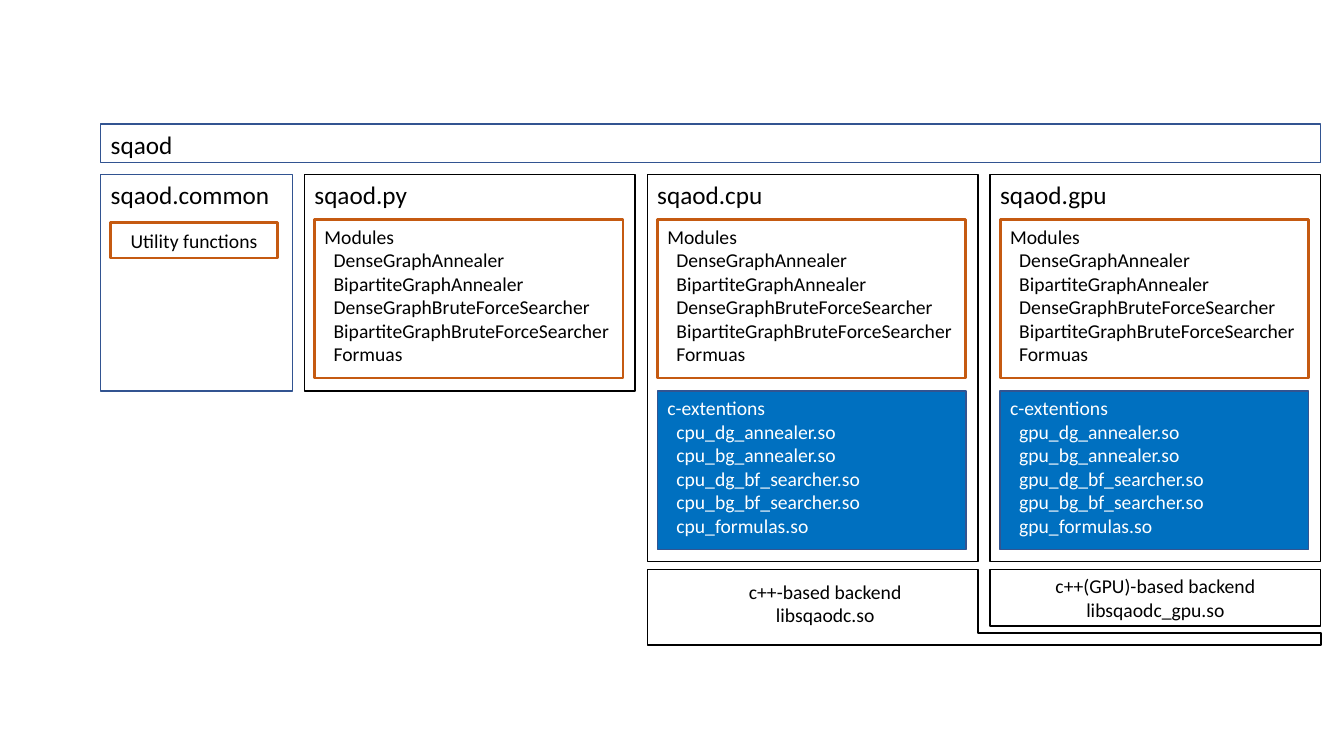
from pptx import Presentation
from pptx.dml.color import RGBColor
from pptx.enum.shapes import MSO_SHAPE as Shape
from pptx.enum.text import MSO_ANCHOR as Anchor, PP_ALIGN as Align
from pptx.util import Inches, Pt

COLORS = {"black": "000000", "white": "FFFFFF", "navy": "325491",
          "orange": "C55A11", "blue": "0070C0"}
FONT = "Calibri"
LEFT, PACKAGE_TOP, BACKEND_TOP = 1, 1.73, 5.65
PACKAGE_WIDTH, PACKAGE_STEP = 3.28, 3.4
PY_LEFT, CPU_LEFT, GPU_LEFT = (3.02 + PACKAGE_STEP * i for i in range(3))
RIGHT = GPU_LEFT + PACKAGE_WIDTH
SHORT_HEIGHT, TALL_HEIGHT = 2.15, 3.84
CLASSES = ["DenseGraphAnnealer", "BipartiteGraphAnnealer",
           "DenseGraphBruteForceSearcher", "BipartiteGraphBruteForceSearcher",
           "Formuas"]
EXTENSIONS = ["dg_annealer", "bg_annealer", "dg_bf_searcher",
              "bg_bf_searcher", "formulas"]


def color(name):
    """Return the named colour."""
    return RGBColor.from_string(COLORS[name])


def write(frame, lines, size=14, ink="black", align=Align.LEFT, indent=0):
    """Write one paragraph per line, indenting all but the first."""
    for index, line in enumerate(lines):
        para = frame.add_paragraph() if index else frame.paragraphs[0]
        para.alignment = align
        if index and indent:
            properties = para._p.get_or_add_pPr()
            properties.set("marL", str(Inches(indent)))
            properties.set("indent", "0")
        span = para.add_run()
        span.text = line
        span.font.name = FONT
        span.font.size = Pt(size)
        span.font.color.rgb = color(ink)


def add_box(page, place, line, weight=1, fill=None, kind=Shape.RECTANGLE):
    """Add an outlined shape without shadow."""
    box = page.shapes.add_shape(kind, *map(Inches, place))
    box.shadow.inherit = False
    box.line.color.rgb = color(line)
    box.line.width = Pt(weight)
    if fill:
        box.fill.solid()
        box.fill.fore_color.rgb = color(fill)
    else:
        box.fill.background()
    box.text_frame.word_wrap = True
    return box


def add_package(page, name, place, line="black"):
    """Add a package frame with its name at the top."""
    frame = add_box(page, place, line).text_frame
    frame.vertical_anchor = Anchor.TOP
    write(frame, [name], size=18)


def add_list(page, left, top, lines, line, weight=1, fill=None, ink="black"):
    """Add a box with a heading and indented items."""
    place = (left + 0.1, top, 3.06, 1.57)
    frame = add_box(page, place, line, weight, fill).text_frame
    frame.vertical_anchor = Anchor.TOP
    write(frame, lines, ink=ink, indent=0.09)


def add_modules(page, left):
    """Add the list of Python modules of a package."""
    add_list(page, left, 2.18, ["Modules", *CLASSES], "orange", 2)


def add_extensions(page, left, prefix):
    """Add the list of compiled extensions of a package."""
    files = [f"{prefix}_{name}.so" for name in EXTENSIONS]
    add_list(page, left, 3.88, ["c-extentions", *files], "navy",
             fill="blue", ink="white")


def add_centered(page, place, lines, line="black", weight=1):
    """Add an outlined box with centred text."""
    frame = add_box(page, place, line, weight).text_frame
    frame.vertical_anchor = Anchor.MIDDLE
    write(frame, lines, align=Align.CENTER)


def add_shared_backend(page):
    """Add the L-shaped backend that reaches under its neighbour."""
    height = 0.75
    place = (CPU_LEFT, BACKEND_TOP, RIGHT - CPU_LEFT, height)
    corner = add_box(page, place, "black", kind=Shape.CORNER)
    corner.adjustments[0] = 0.12 / height
    corner.adjustments[1] = PACKAGE_WIDTH / height
    label = page.shapes.add_textbox(*map(Inches, (7.32, 5.7, 1.73, 0.57)))
    label.text_frame.word_wrap = False
    write(label.text_frame, ["c++-based backend", "libsqaodc.so"],
          align=Align.CENTER)


def main():
    """Build the package structure slide."""
    deck = Presentation()
    deck.slide_width, deck.slide_height = Inches(13.33), Inches(7.5)
    page = deck.slides.add_slide(deck.slide_layouts[6])

    add_package(page, "sqaod.common",
                (LEFT, PACKAGE_TOP, 1.9, SHORT_HEIGHT), "navy")
    add_centered(page, (1.1, 2.21, 1.65, 0.35), ["Utility functions"],
                 "orange", 2)
    for name, left, height in (("py", PY_LEFT, SHORT_HEIGHT),
                               ("cpu", CPU_LEFT, TALL_HEIGHT),
                               ("gpu", GPU_LEFT, TALL_HEIGHT)):
        add_package(page, f"sqaod.{name}",
                    (left, PACKAGE_TOP, PACKAGE_WIDTH, height))
        add_modules(page, left)
        if height == TALL_HEIGHT:
            add_extensions(page, left, name)
    add_centered(page, (GPU_LEFT, BACKEND_TOP, PACKAGE_WIDTH, 0.56),
                 ["c++(GPU)-based backend", "libsqaodc_gpu.so"])
    add_package(page, "sqaod", (LEFT, 1.23, RIGHT - LEFT, 0.38), "navy")
    add_shared_backend(page)
    deck.save("out.pptx")


main()
